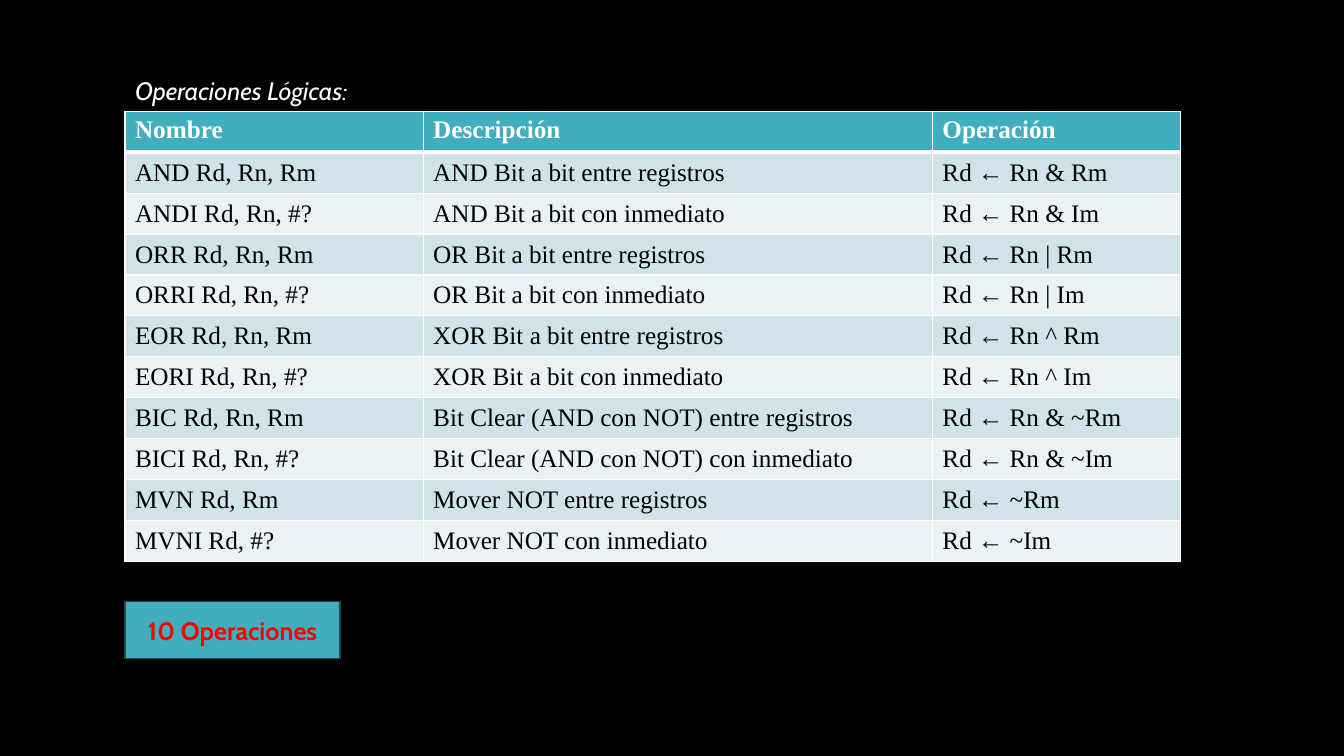
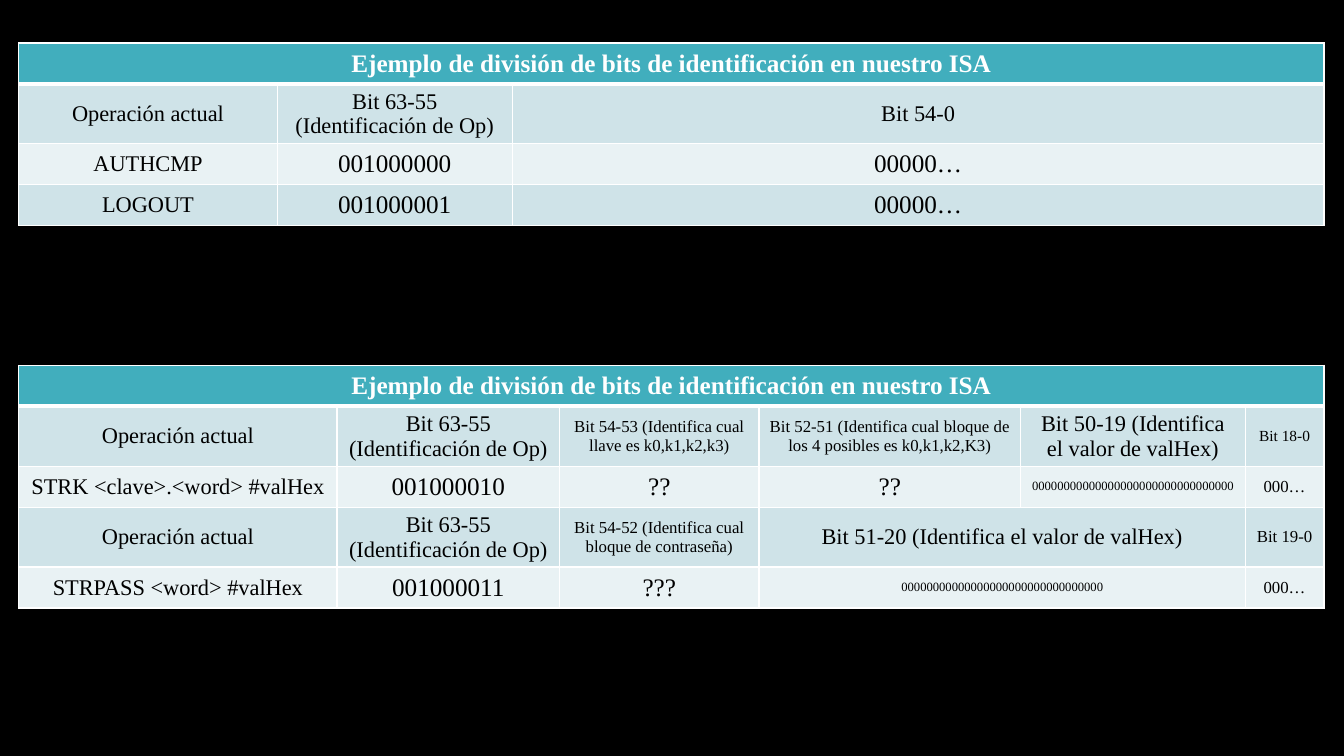
from lxml.etree import SubElement as Sub
from pptx import Presentation
from pptx.dml.color import RGBColor as RGB
from pptx.enum.shapes import MSO_SHAPE as Shape
from pptx.enum.text import MSO_ANCHOR as Anchor, MSO_AUTO_SIZE as Fit, PP_ALIGN as Align
from pptx.oxml.ns import qn
from pptx.util import Pt

PX = 9525  # EMU in one px, 96 px to the inch
BLACK = RGB(0x00, 0x00, 0x00)
WHITE = RGB(0xFF, 0xFF, 0xFF)
RED = RGB(0xFF, 0x00, 0x00)
TEAL = RGB(0x41, 0xAE, 0xBD)
DARK = RGB(0x1C, 0x4C, 0x53)
BANDS = RGB(0xE9, 0xF2, 0xF4), RGB(0xCF, 0xE3, 0xE8)  # even rows, odd rows
SANS = "Cabin"
SERIF = "Times New Roman"
ROW, TALL = 39, 56


def write(para, text, size, font, color, bold=False, italic=False):
    run = para.add_run()
    run.text = text
    face = run.font
    face.size, face.name = Pt(size), font
    face.bold, face.italic = bold, italic
    face.color.rgb = color


def grid(slide, left, top, cols, rows, data, align, head):
    """Data cells are (text, size), or None where the cell to the left spans."""
    frame = slide.shapes.add_table(len(rows), len(cols), left * PX, top * PX,
                                   sum(cols) * PX, sum(rows) * PX)
    table = frame.table
    table.horz_banding = False
    for col, wide in zip(table.columns, cols):
        col.width = wide * PX
    for row, high in zip(table.rows, rows):
        row.height = high * PX

    for r, line in enumerate(data):
        for c, item in enumerate(line):
            cell = table.cell(r, c)
            # Borders, with a thick rule under the header
            props = cell._tc.get_or_add_tcPr()
            for side in "LRTB":
                thick = (r, side) in ((0, "B"), (1, "T"))
                edge = Sub(props, qn("a:ln" + side), w=str(Pt(3 if thick else 1)))
                Sub(Sub(edge, qn("a:solidFill")), qn("a:srgbClr"), val=str(WHITE))
            cell.fill.solid()
            cell.fill.fore_color.rgb = BANDS[r % 2] if r else TEAL
            cell.vertical_anchor = Anchor.MIDDLE if r else head
            if item is None:
                continue
            para = cell.text_frame.paragraphs[0]
            para.alignment = align
            text, size = item
            write(para, text, size, SERIF, BLACK if r else WHITE, bold=r == 0)
            # Take in the empty cells to the right
            end = c
            while end + 1 < len(line) and line[end + 1] is None:
                end += 1
            if end > c:
                cell.merge(table.cell(r, end))


# Deck and shared background
deck = Presentation()
deck.slide_width, deck.slide_height = 1280 * PX, 720 * PX
back = deck.slide_master.background.fill
back.solid()
back.fore_color.rgb = BLACK

# Slide 1: logic operations
slide = deck.slides.add_slide(deck.slide_layouts[5])
title = slide.shapes.title
title.left, title.top, title.width, title.height = 119 * PX, 67 * PX, 304 * PX, 38 * PX
body = title.text_frame
body.auto_size = Fit.NONE
body.vertical_anchor = Anchor.TOP
body.paragraphs[0].alignment = Align.LEFT
write(body.paragraphs[0], "Operaciones Lógicas:", 18, SANS, WHITE, italic=True)

logic = [
    ("Nombre", "Descripción", "Operación"),
    ("AND Rd, Rn, Rm", "AND Bit a bit entre registros", "Rd ← Rn & Rm"),
    ("ANDI Rd, Rn, #?", "AND Bit a bit con inmediato", "Rd ← Rn & Im"),
    ("ORR Rd, Rn, Rm", "OR Bit a bit entre registros", "Rd ← Rn | Rm"),
    ("ORRI Rd, Rn, #?", "OR Bit a bit con inmediato", "Rd ← Rn | Im"),
    ("EOR Rd, Rn, Rm", "XOR Bit a bit entre registros", "Rd ← Rn ^ Rm"),
    ("EORI Rd, Rn, #?", "XOR Bit a bit con inmediato", "Rd ← Rn ^ Im"),
    ("BIC Rd, Rn, Rm", "Bit Clear (AND con NOT) entre registros", "Rd ← Rn & ~Rm"),
    ("BICI Rd, Rn, #?", "Bit Clear (AND con NOT) con inmediato", "Rd ← Rn & ~Im"),
    ("MVN Rd, Rm", "Mover NOT entre registros", "Rd ← ~Rm"),
    ("MVNI Rd, #?", "Mover NOT con inmediato", "Rd ← ~Im"),
]
cells = [[(text, 18) for text in line] for line in logic]
grid(slide, 119, 106, (284, 485, 236), [ROW] * len(logic), cells, Align.LEFT, Anchor.TOP)

# Count box
box = slide.shapes.add_shape(Shape.RECTANGLE, 119 * PX, 573 * PX, 205 * PX, 54 * PX)
box.shadow.inherit = False
box.fill.solid()
box.fill.fore_color.rgb = TEAL
box.line.color.rgb = DARK
box.line.width = Pt(1)
body = box.text_frame
body.vertical_anchor = Anchor.MIDDLE
body.paragraphs[0].alignment = Align.CENTER
write(body.paragraphs[0], "10 Operaciones", 18, SANS, RED, bold=True)

# Slide 2: bit layouts
slide = deck.slides.add_slide(deck.slide_layouts[6])
name = ("Ejemplo de división de bits de identificación en nuestro ISA", 18)
now = ("Operación actual", 16)
code = ("Bit 63-55 (Identificación de Op)", 16)
zeros = ("0" * 32, 9)
rest = ("000…", 12)

# Session operations
access = [
    (name, None, None),
    (now, code, ("Bit 54-0", 16)),
    (("AUTHCMP", 16), ("001000000", 18), ("00000…", 18)),
    (("LOGOUT", 16), ("001000001", 18), ("00000…", 18)),
]
grid(slide, 18, 41, (246, 224, 773), (ROW, TALL, ROW, ROW), access,
     Align.CENTER, Anchor.MIDDLE)

# Store operations
store = [
    (name, None, None, None, None, None),
    (now, code, ("Bit 54-53 (Identifica cual llave es k0,k1,k2,k3)", 12),
     ("Bit 52-51 (Identifica cual bloque de los 4 posibles es k0,k1,k2,K3)", 12),
     ("Bit 50-19 (Identifica el valor de valHex)", 16), ("Bit 18-0", 11)),
    (("STRK <clave>.<word> #valHex", 16), ("001000010", 18), ("??", 18), ("??", 18),
     zeros, rest),
    (now, code, ("Bit 54-52 (Identifica cual bloque de contraseña)", 12),
     ("Bit 51-20 (Identifica el valor de valHex)", 16), None, ("Bit 19-0", 12)),
    (("STRPASS <word> #valHex", 16), ("001000011", 18), ("???", 18), zeros, None, rest),
]
grid(slide, 18, 348, (303, 212, 190, 249, 214, 75), (ROW, TALL, ROW, TALL, ROW), store,
     Align.CENTER, Anchor.MIDDLE)

deck.save("out.pptx")
